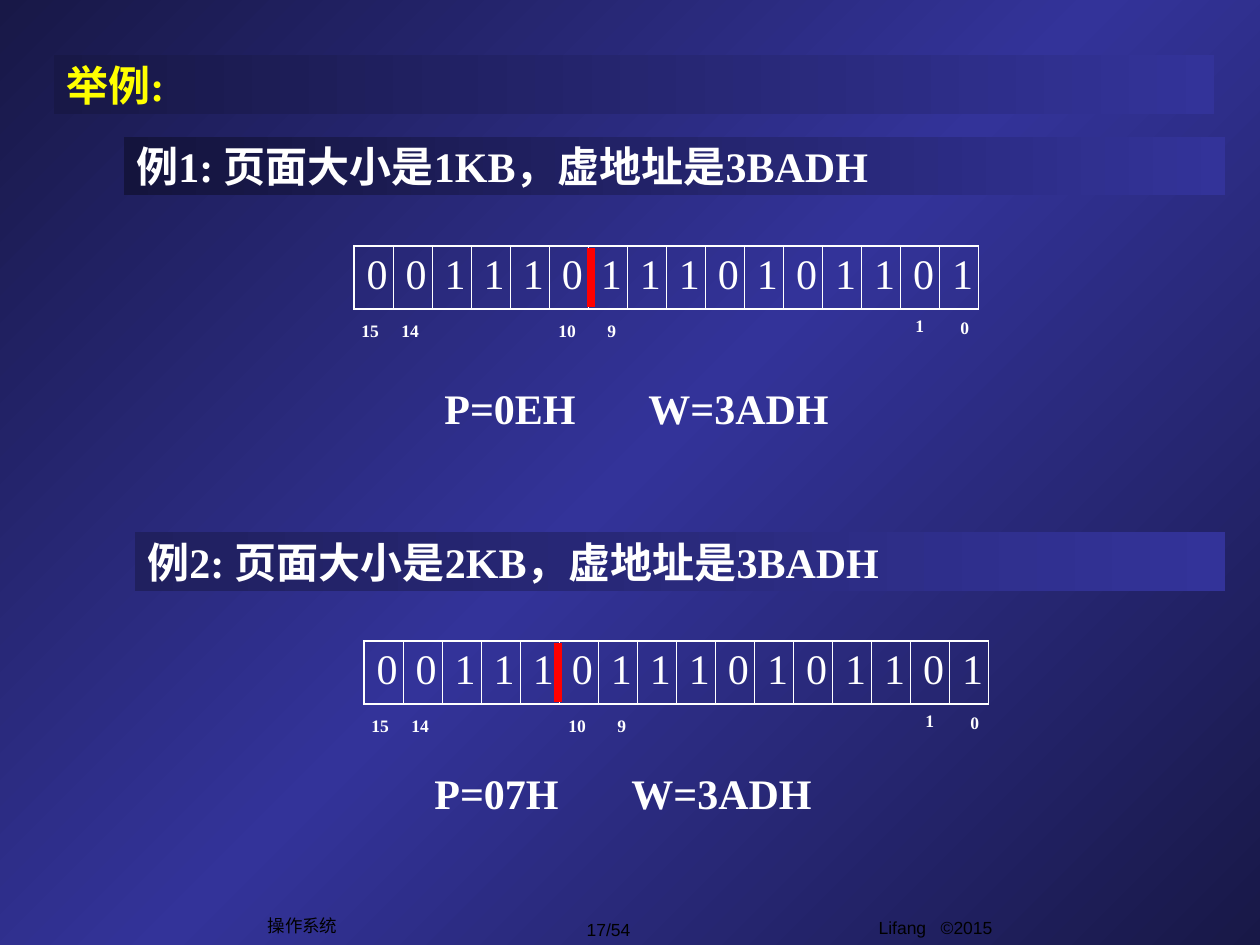
from copy import deepcopy

from lxml.etree import SubElement
from pptx import Presentation
from pptx.dml.color import RGBColor
from pptx.enum.shapes import MSO_CONNECTOR, MSO_SHAPE
from pptx.enum.text import MSO_ANCHOR, PP_ALIGN
from pptx.oxml.ns import qn
from pptx.util import Emu, Pt

SERIF = "Times New Roman"
SANS = "Arial"
WHITE = "FFFFFF"
NAVY = "181847"
BLUE = "333399"
BITS = "0011101110101101"
MARKS = [("15", -5, 68), ("14", 35, 68), ("10", 192, 68),
         ("9", 241, 68), ("1", 549, 63), ("0", 594, 65)]


def px(value):
    return Emu(round(value * 914400 / 126))


def rgb(value):
    return RGBColor.from_string(value)


class Page:
    def __init__(self, slide):
        self.slide = slide
        self.shapes = slide.shapes

    def shade(self, fill, colors, angle):
        fill.gradient()
        stops = fill.gradient_stops
        if len(colors) == 3:
            first = fill._fill._gradFill.gsLst[0]
            first.addnext(deepcopy(first))
            stops = fill.gradient_stops
        for index, (stop, color) in enumerate(zip(stops, colors)):
            stop.position = index / (len(colors) - 1)
            stop.color.rgb = rgb(color)
        fill.gradient_angle = angle

    def style(self, frame, text, size, color=WHITE, bold=True, font=SERIF,
              align=PP_ALIGN.LEFT, tab=None):
        frame.text = text
        para = frame.paragraphs[0]
        para.alignment = align
        if tab:
            tabs = SubElement(para._p.get_or_add_pPr(), qn("a:tabLst"))
            SubElement(tabs, qn("a:tab"), pos=str(px(tab)), algn="l")
        for run in para.runs:
            run.font.size = Pt(size)
            run.font.name = font
            run.font.bold = bold
            run.font.color.rgb = rgb(color)

    def bar(self, x, y, w, h, text, start, color=WHITE):
        box = self.shapes.add_shape(MSO_SHAPE.RECTANGLE, px(x), px(y), px(w), px(h))
        box.shadow.inherit = False
        box.line.fill.background()
        self.shade(box.fill, [start, BLUE], 0)
        box.text_frame.vertical_anchor = MSO_ANCHOR.MIDDLE
        self.style(box.text_frame, text, 24, color)

    def label(self, x, y, w, h, text, size=10, wrap=True,
              anchor=MSO_ANCHOR.TOP, **look):
        frame = self.shapes.add_textbox(px(x), px(y), px(w), px(h)).text_frame
        frame.word_wrap = wrap
        frame.vertical_anchor = anchor
        self.style(frame, text, size, **look)

    def foot(self, x, y, w, h, text, wrap=False, anchor=MSO_ANCHOR.MIDDLE):
        self.label(x, y, w, h, text, wrap=wrap, anchor=anchor, color="000000",
                   bold=False, font=SANS, align=PP_ALIGN.CENTER)

    def edge(self, cell, side, width):
        line = SubElement(cell._tc.get_or_add_tcPr(), qn("a:ln" + side),
                          w=str(Pt(width)))
        fill = SubElement(line, qn("a:solidFill"))
        SubElement(fill, qn("a:srgbClr"), val=WHITE)

    def word(self, x, y, bits):
        count = len(bits)
        table = self.shapes.add_table(1, count, px(x), px(y), px(625), px(63)).table
        table.first_row = False
        table.horz_banding = False
        for index, bit in enumerate(bits):
            table.columns[index].width = px(625 / count)
            cell = table.cell(0, index)
            self.style(cell.text_frame, bit, 24, bold=False)
            self.edge(cell, "L", 1.08 if index == 0 else 0.45)
            self.edge(cell, "R", 1.08 if index == count - 1 else 0.45)
            self.edge(cell, "T", 1.08)
            self.edge(cell, "B", 1.08)
            cell.fill.background()

    def split(self, x, y):
        line = self.shapes.add_connector(
            MSO_CONNECTOR.STRAIGHT, px(x), px(y + 59), px(x), px(y))
        line.line.color.rgb = rgb("FF0000")
        line.line.width = Pt(4.5)
        SubElement(line._element.spPr, qn("a:effectLst"))

    def sample(self, x, y, cut, left, top, answer, tab):
        self.word(x, y, BITS)
        self.split(cut, y + 2)
        for text, dx, dy in MARKS:
            self.label(x + dx, y + dy, 69, 34, text)
        self.label(left, top, 486, 89, answer, 24, anchor=MSO_ANCHOR.MIDDLE, tab=tab)


def main():
    deck = Presentation()
    deck.slide_width, deck.slide_height = px(1260), px(945)
    page = Page(deck.slides.add_slide(deck.slide_layouts[6]))
    page.shade(page.slide.background.fill, [NAVY, BLUE, NAVY], 315)

    page.foot(736, 911, 399, 44, "Lifang   ©2015", True, MSO_ANCHOR.TOP)
    page.foot(544, 912, 129, 34, "17/54")
    page.foot(255, 908, 95, 34, "操作系统")

    page.bar(54, 55, 1160, 59, "举例:", NAVY, "FFFF00")
    page.bar(124, 137, 1101, 58, "例1: 页面大小是1KB，虚地址是3BADH", "14143D")
    page.sample(354, 246, 591, 432, 363, "P=0EH\tW=3ADH", 204)
    page.bar(135, 532, 1090, 59, "例2: 页面大小是2KB，虚地址是3BADH", "20205F")
    page.sample(364, 641, 558, 422, 748, "P=07H\tW=3ADH", 197)
    deck.save("out.pptx")


if __name__ == "__main__":
    main()
